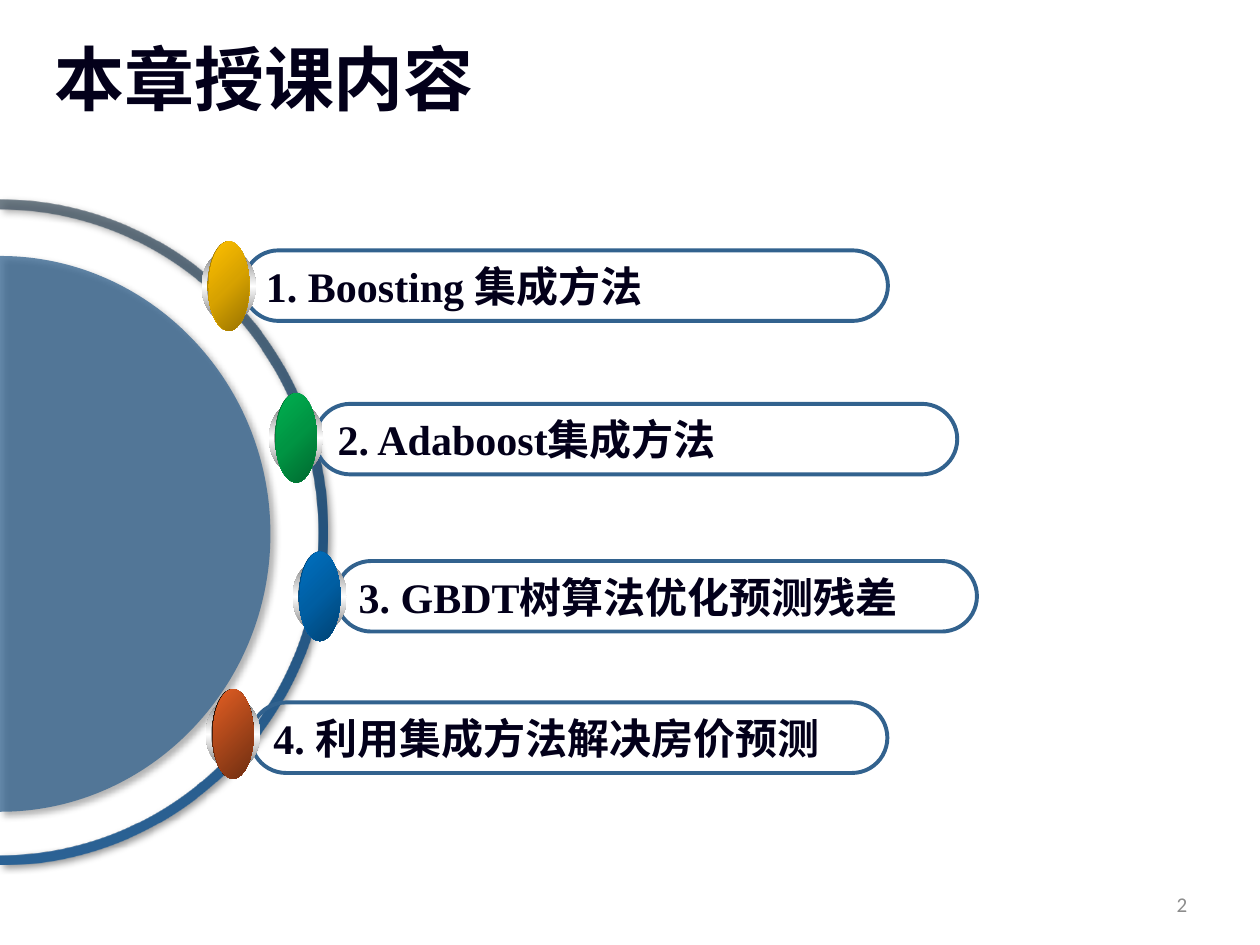
from dataclasses import dataclass
from typing import NamedTuple

from lxml import etree
from pptx import Presentation
from pptx.dml.color import RGBColor
from pptx.enum import shapes, text
from pptx.oxml.ns import qn
from pptx.util import Pt


@dataclass(frozen=True)
class Theme:
    ink: str = "03001A"
    muted: str = "8C8C8C"
    blue: str = "32628E"
    title_size: float = 40
    item_size: float = 24
    number_size: float = 12
    latin: str = "Times New Roman"
    number_font: str = "Calibri"
    asian: str = "Noto Sans CJK SC"


class Stop(NamedTuple):
    position: int
    color: str
    alpha: int = 100


class Shade(NamedTuple):
    stops: tuple[Stop, ...]
    angle: int = 0
    radial: bool = False


class Frame(NamedTuple):
    left: float
    top: float
    width: float
    height: float

    def lengths(self) -> tuple:
        return tuple(Pt(value) for value in self)


class Item(NamedTuple):
    label: str
    pill: Frame
    ball_left: float
    ball_top: float
    under: Shade
    over: Shade


class Arch(NamedTuple):
    center: float
    base: float
    across: float
    top: float

    def points(self) -> list[tuple[float, float]]:
        bend = 0.55
        knee = self.base - bend * (self.base - self.top)
        left = [(-self.across, self.base), (-self.across, knee), (-bend * self.across, self.top)]
        right = [(-x, y) for x, y in reversed(left)]
        return [(self.center + x, y) for x, y in left + [(0, self.top)] + right]


def shade(*colors: str, angle: int = 0, radial: bool = False) -> Shade:
    step = 100 // (len(colors) - 1)
    stops = tuple(Stop(i * step, color) for i, color in enumerate(colors))
    return Shade(stops, angle, radial)


def glossy(*colors: str) -> tuple[Shade, Shade]:
    return shade(*colors, angle=45), shade(*colors, radial=True)


THEME = Theme()
PILL_HEIGHT = 40.3
RIM = shade("767676", "FFFFFF", "767676", angle=90)
SOCKET = shade("A2A2A2", "FFFFFF", "A2A2A2")
RING = Shade((Stop(0, "445462", 75), Stop(50, "24537D"), Stop(100, "2B6295")))
ITEMS = (
    Item("1. Boosting 集成方法", Frame(139, 143.1, 368.4, PILL_HEIGHT), 115.2, 137.9,
         *glossy("977200", "D7A200", "FFC000")),
    Item("2. Adaboost集成方法", Frame(180, 230.8, 367, PILL_HEIGHT), 153.7, 224.6,
         *glossy("00682F", "009443", "00B050")),
    Item("3. GBDT树算法优化预测残差", Frame(192, 320.6, 366.3, PILL_HEIGHT), 167.2, 315.2,
         *glossy("004272", "005EA2", "0070C0")),
    Item("4. 利用集成方法解决房价预测", Frame(143.3, 401.4, 363.8, PILL_HEIGHT), 117.6, 393.8,
         shade("000000", "E35E23", angle=45), shade("E35E23", "6E2E11", angle=45)),
)


def add_node(parent, tag: str, **attributes):
    values = {name: str(value) for name, value in attributes.items()}
    return etree.SubElement(parent, qn(tag), values)


def add_color(parent, color: str, alpha: int) -> None:
    node = add_node(parent, "a:srgbClr", val=color)
    if alpha < 100:
        add_node(node, "a:alpha", val=alpha * 1000)


def fill_shade(shape, look: Shade) -> None:
    shape.fill.gradient()
    gradient = shape._element.spPr.find(qn("a:gradFill"))
    gradient.clear()
    gradient.set("rotWithShape", "1")
    stops = add_node(gradient, "a:gsLst")
    for stop in look.stops:
        add_color(add_node(stops, "a:gs", pos=stop.position * 1000), stop.color, stop.alpha)
    if look.radial:
        radial = add_node(gradient, "a:path", path="circle")
        add_node(radial, "a:fillToRect", l=100000, t=100000)
    else:
        add_node(gradient, "a:lin", ang=look.angle * 60000, scaled=0)


def add_shadow(shape) -> None:
    shape.shadow.inherit = False
    effects = shape._element.spPr.find(qn("a:effectLst"))
    shadow = add_node(effects, "a:outerShdw", blurRad=Pt(4), dist=Pt(3),
                      dir=45 * 60000, algn="tl", rotWithShape=0)
    add_color(shadow, "000000", 40)


def format_text(para, size: float, color: str, latin: str, bold: bool) -> None:
    for span in para.runs:
        span.font.size = Pt(size)
        span.font.bold = bold
        span.font.name = latin
        span.font.color.rgb = RGBColor.from_string(color)
        add_node(span.font._element, "a:ea", typeface=THEME.asian)


def add_step(outline, tag: str, *points: tuple[float, float]) -> None:
    step = add_node(outline, tag)
    for x, y in points:
        add_node(step, "a:pt", x=Pt(x), y=Pt(y))


def add_arches(page, frame: Frame, *arches: list[tuple[float, float]]):
    left, top, width, height = frame.lengths()
    builder = page.shapes.build_freeform(left, top, scale=1.0)
    builder.add_line_segments([(left + width, top), (left + width, top + height)])
    shape = builder.convert_to_shape()
    outline = next(shape._element.iter(qn("a:path")))
    for step in list(outline):
        outline.remove(step)
    for index, points in enumerate(arches):
        add_step(outline, "a:lnTo" if index else "a:moveTo", points[0])
        add_step(outline, "a:cubicBezTo", *points[1:4])
        add_step(outline, "a:cubicBezTo", *points[4:])
    add_node(outline, "a:close")
    shape.rotation = 90
    shape.line.fill.background()
    add_shadow(shape)
    return shape


def add_backdrop(page) -> None:
    inner = Arch(190, 187.2, 184.2, 5.8).points()
    outer = Arch(190, 187.2, 190, 0).points()
    ring = add_arches(page, Frame(-193, 113.9, 380, 380), inner, outer[::-1])
    fill_shade(ring, RING)
    disc = add_arches(page, Frame(-159.1, 150.3, 317.6, 309.6),
                      Arch(158.8, 154.4, 158.8, 0).points())
    disc.fill.solid()
    disc.fill.fore_color.rgb = RGBColor.from_string(THEME.blue)
    color = disc._element.spPr.find(qn("a:solidFill")).find(qn("a:srgbClr"))
    add_node(color, "a:alpha", val=75000)


def add_pill(page, item: Item) -> None:
    pill = page.shapes.add_shape(shapes.MSO_SHAPE.ROUNDED_RECTANGLE, *item.pill.lengths())
    pill.adjustments[0] = 0.5
    pill.shadow.inherit = False
    pill.fill.background()
    pill.line.color.rgb = RGBColor.from_string(THEME.blue)
    pill.line.width = Pt(2.25)
    frame = pill.text_frame
    frame.text = item.label
    frame.word_wrap = True
    frame.vertical_anchor = text.MSO_ANCHOR.MIDDLE
    para = frame.paragraphs[0]
    para.alignment = text.PP_ALIGN.LEFT
    format_text(para, THEME.item_size, THEME.ink, THEME.latin, True)


def add_ball(page, item: Item) -> None:
    layers = (
        (Frame(0, 5.2, 31, 41), RIM),
        (Frame(2.9, 9.5, 24.5, 32.4), SOCKET),
        (Frame(3.6, 0, 23.8, 51.1), item.under),
        (Frame(4.2, 0, 23, 51.1), item.over),
    )
    ball = page.shapes.add_group_shape()
    for offset, look in layers:
        place = offset._replace(left=item.ball_left + offset.left, top=item.ball_top + offset.top)
        oval = ball.shapes.add_shape(shapes.MSO_SHAPE.OVAL, *place.lengths())
        oval.shadow.inherit = False
        oval.line.fill.background()
        fill_shade(oval, look)


def add_title(page) -> None:
    title = page.shapes.title
    title.left, title.top, title.width, title.height = Frame(23.8, 25.9, 648, 67.7).lengths()
    title.text_frame.text = "本章授课内容"
    title.text_frame.vertical_anchor = text.MSO_ANCHOR.TOP
    para = title.text_frame.paragraphs[0]
    para.alignment = text.PP_ALIGN.LEFT
    para.line_spacing = 0.8
    format_text(para, THEME.title_size, THEME.ink, THEME.asian, True)


def add_page_number(page) -> None:
    box = page.shapes.add_textbox(*Frame(517.7, 502.2, 167.8, 28.8).lengths())
    box.text_frame.text = "2"
    box.text_frame.word_wrap = True
    box.text_frame.vertical_anchor = text.MSO_ANCHOR.MIDDLE
    para = box.text_frame.paragraphs[0]
    para.alignment = text.PP_ALIGN.RIGHT
    format_text(para, THEME.number_size, THEME.muted, THEME.number_font, False)


deck = Presentation()
deck.slide_width, deck.slide_height = Pt(720), Pt(540)
slide = deck.slides.add_slide(deck.slide_layouts.get_by_name("Title Only"))
add_title(slide)
add_backdrop(slide)
for entry in reversed(ITEMS):
    add_pill(slide, entry)
for entry in ITEMS:
    add_ball(slide, entry)
add_page_number(slide)
deck.save("out.pptx")
